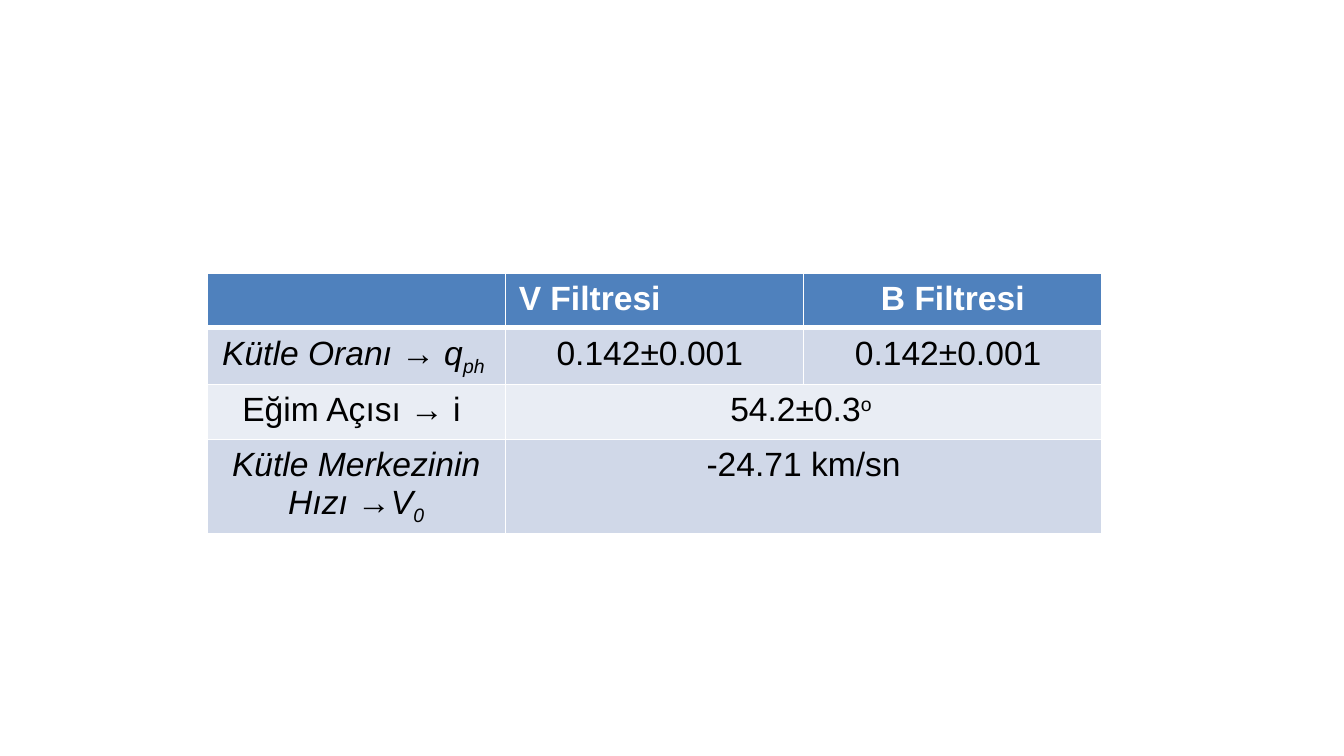
from lxml.etree import SubElement
from pptx import Presentation
from pptx.dml.color import RGBColor
from pptx.enum.text import PP_ALIGN as Align
from pptx.oxml.ns import qn
from pptx.util import Inches, Pt

BLUE = RGBColor(0x4F, 0x81, 0xBD)
BAND_DARK = RGBColor(0xD0, 0xD8, 0xE8)
BAND_LIGHT = RGBColor(0xE9, 0xED, 0xF4)
WHITE = RGBColor(0xFF, 0xFF, 0xFF)
BLACK = RGBColor(0x00, 0x00, 0x00)

SUB, SUP = -25, 30

# Content: each cell is (italic, [(text, baseline shift in percent), ...])
HEADER = [
    (False, []),
    (False, [("V Filtresi", 0)]),
    (False, [("B Filtresi", 0)]),
]
BODY = [
    [(True, [("Kütle Oranı → q", 0), ("ph ", SUB)]),
     (False, [("0.142±0.001 ", 0)]),
     (False, [("0.142±0.001 ", 0)])],
    [(False, [("Eğim Açısı → i ", 0)]),
     (False, [("54.2±0.3", 0), ("o ", SUP)])],
    [(True, [("Kütle Merkezinin Hızı →V", 0), ("0", SUB)]),
     (False, [(" -24.71 km/sn ", 0)])],
]
ROWS = [HEADER] + BODY
N_COLS = len(HEADER)
SLIDE_W = 10
LEFT, TOP, COL_W, ROW_H = 1.54, 2.03, 2.22, 0.41


def set_borders(cell, bottom, top):
    """White cell borders; widths in points."""
    tc_pr = cell._tc.get_or_add_tcPr()
    for side, width in (("L", 1), ("R", 1), ("T", top), ("B", bottom)):
        ln = SubElement(tc_pr, qn(f"a:ln{side}"), w=str(Pt(width)))
        fill = SubElement(ln, qn("a:solidFill"))
        SubElement(fill, qn("a:srgbClr"), val=str(WHITE))


def fill_cell(cell, content, row, col):
    header = row == 0
    italic, runs = content
    set_borders(cell, bottom=3 if header else 1, top=3 if row == 1 else 1)
    cell.fill.solid()
    cell.fill.fore_color.rgb = (
        BLUE if header else BAND_DARK if row % 2 else BAND_LIGHT)
    p = cell.text_frame.paragraphs[0]
    p.alignment = Align.LEFT if header and col < 2 else Align.CENTER
    for text, shift in runs:
        r = p.add_run()
        r.text = text
        r.font.name = "Arial"
        r.font.size = Pt(18)
        r.font.bold = header
        r.font.italic = italic
        r.font.color.rgb = WHITE if header else BLACK
        if shift:
            r.font._element.set("baseline", str(shift * 1000))


# Widescreen slide, 16:9
prs = Presentation()
prs.slide_width = Inches(SLIDE_W)
prs.slide_height = Inches(SLIDE_W * 9 / 16)
s = prs.slides.add_slide(prs.slide_layouts[6])

# Results table
table = s.shapes.add_table(
    len(ROWS), N_COLS, Inches(LEFT), Inches(TOP),
    Inches(COL_W * N_COLS), Inches(ROW_H * len(ROWS))).table
for column in table.columns:
    column.width = Inches(COL_W)
for i, row in enumerate(ROWS):
    table.rows[i].height = Inches(ROW_H)
    # A short row stretches its last cell to the right edge
    if len(row) < N_COLS:
        table.cell(i, len(row) - 1).merge(table.cell(i, N_COLS - 1))
    for j, content in enumerate(row):
        fill_cell(table.cell(i, j), content, i, j)

prs.save("out.pptx")
